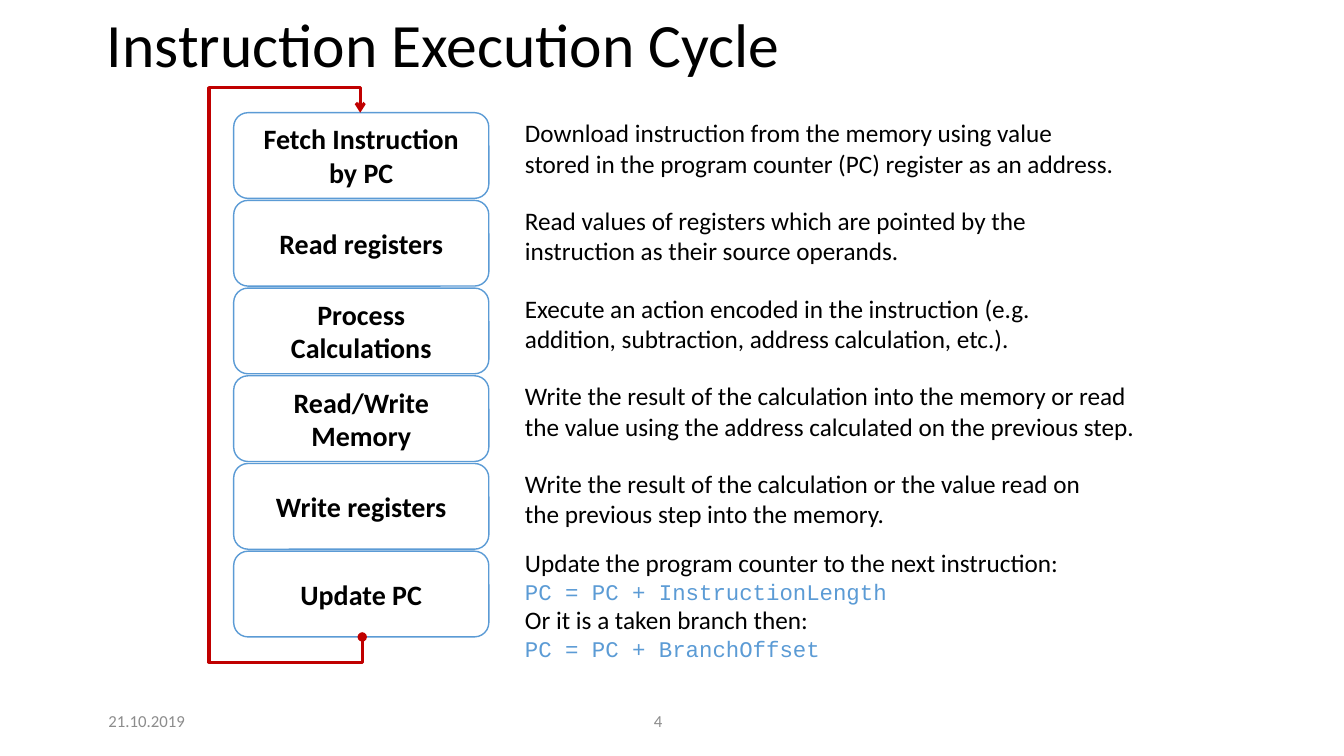
from lxml.etree import SubElement
from pptx import Presentation
from pptx.dml.color import RGBColor
from pptx.enum.shapes import MSO_CONNECTOR, MSO_SHAPE
from pptx.enum.text import MSO_ANCHOR, MSO_AUTO_SIZE, PP_ALIGN
from pptx.oxml.ns import qn
from pptx.util import Cm, Pt

BLACK = RGBColor(0x00, 0x00, 0x00)
WHITE = RGBColor(0xFF, 0xFF, 0xFF)
BLUE = RGBColor(0x5B, 0x9B, 0xD5)
RED = RGBColor(0xC0, 0x00, 0x00)
GREY = RGBColor(0x8C, 0x8C, 0x8C)

# Step grid, in cm
LEFT, TOP, WIDTH, HEIGHT, PITCH = 5.89, 2.84, 6.43, 2.16, 2.21
NOTE_LEFT = 12.98

# Text styles: size, font, colour, bold
TITLE = (44, "Calibri", BLACK, False)
STEP = (20, "Calibri", BLACK, True)
BODY = (18, "Calibri", BLACK, False)
CODE = (16, "Courier New", BLUE, False)
SMALL = (12, "Calibri", GREY, False)

# Step lines, width of the note, note
STEPS = [
    (["Fetch Instruction by PC"], 15.39,
     "Download instruction from the memory using value stored in the "
     "program counter (PC) register as an address."),
    (["Read registers"], 15.39,
     "Read values of registers which are pointed by the instruction as "
     "their source operands."),
    (["Process Calculations"], 15.39,
     "Execute an action encoded in the instruction (e.g. addition, "
     "subtraction, address calculation, etc.)."),
    (["Read/Write", "Memory"], 16.41,
     "Write the result of the calculation into the memory or read the "
     "value using the address calculated on the previous step."),
    (["Write registers"], 15.39,
     "Write the result of the calculation or the value read on the "
     "previous step into the memory."),
    (["Update PC"], 15.39, None),
]
UPDATE = [
    ("Update the program counter to the next instruction:", BODY),
    ("PC = PC + InstructionLength", CODE),
    ("Or it is a taken branch then:", BODY),
    ("PC = PC + BranchOffset", CODE),
]


def write(frame, lines, align=PP_ALIGN.LEFT, anchor=MSO_ANCHOR.TOP):
    """Fill a text frame with one paragraph per (text, style) pair."""
    frame.word_wrap = True
    frame.vertical_anchor = anchor
    for i, (text, style) in enumerate(lines):
        para = frame.add_paragraph() if i else frame.paragraphs[0]
        para.alignment = align
        run = para.add_run()
        run.text = text
        size, name, color, bold = style
        run.font.size = Pt(size)
        run.font.name = name
        run.font.color.rgb = color
        run.font.bold = bold


def add_title(slide, text):
    title = slide.shapes.title
    title.left, title.top = Cm(2.44), Cm(-0.08)
    title.width, title.height = Cm(29.21), Cm(2.57)
    frame = title.text_frame
    frame.auto_size = MSO_AUTO_SIZE.NONE
    write(frame, [(text, TITLE)], anchor=MSO_ANCHOR.MIDDLE)
    frame.paragraphs[0].line_spacing = 0.9


def add_step(slide, top, names):
    box = slide.shapes.add_shape(MSO_SHAPE.ROUNDED_RECTANGLE, Cm(LEFT),
                                 Cm(top), Cm(WIDTH), Cm(HEIGHT))
    box.shadow.inherit = False
    box.fill.solid()
    box.fill.fore_color.rgb = WHITE
    box.line.color.rgb = BLUE
    box.line.width = Pt(1)
    write(box.text_frame, [(name, STEP) for name in names],
          PP_ALIGN.CENTER, MSO_ANCHOR.MIDDLE)


def add_text(slide, left, top, width, height, lines, **place):
    box = slide.shapes.add_textbox(Cm(left), Cm(top), Cm(width), Cm(height))
    write(box.text_frame, lines, **place)


def add_loop(slide, top, bottom):
    """Five-part elbow from the last step, round the left, to the first."""
    span, shift = bottom - top, 0.05
    out, side = 0.63, 3.86
    mid_x, mid_y = LEFT + WIDTH / 2, (top + bottom) / 2
    left, upper = mid_x - span / 2, mid_y - shift / 2
    loop = slide.shapes.add_connector(
        MSO_CONNECTOR.ELBOW, Cm(left), Cm(upper),
        Cm(left + span), Cm(upper + shift))
    loop.line.color.rgb = RED
    loop.line.width = Pt(2.25)

    # Turn the elbow upright and set its bends
    props = loop._element.spPr
    frame = props.find(qn("a:xfrm"))
    frame.set("rot", "5400000")
    frame.set("flipH", "1")
    geom = props.find(qn("a:prstGeom"))
    geom.set("prst", "bentConnector5")
    bends = geom.find(qn("a:avLst"))
    ratios = (-out / span, side / shift, 1 + out / span)
    for i, ratio in enumerate(ratios, 1):
        SubElement(bends, qn("a:gd"), name=f"adj{i}",
                   fmla=f"val {round(ratio * 100000)}")

    # Line ends, no shadow
    line = props.find(qn("a:ln"))
    SubElement(line, qn("a:headEnd"), type="oval")
    SubElement(line, qn("a:tailEnd"), type="arrow")
    SubElement(props, qn("a:effectLst"))


def main():
    deck = Presentation()
    deck.slide_width, deck.slide_height = Cm(33.87), Cm(19.05)
    slide = deck.slides.add_slide(deck.slide_layouts[5])
    add_title(slide, "Instruction Execution Cycle")

    # Steps with their notes
    for i, (names, width, note) in enumerate(STEPS):
        top = TOP + i * PITCH
        add_step(slide, top, names)
        if note:
            add_text(slide, NOTE_LEFT, top, width, 1.8, [(note, BODY)])
        else:
            add_text(slide, NOTE_LEFT, top - 0.22, width, 3.25, UPDATE)

    # Return to the first step
    add_loop(slide, TOP, TOP + (len(STEPS) - 1) * PITCH + HEIGHT)

    # Footer
    add_text(slide, 2.34, 17.65, 2.72, 1.02, [("21.10.2019", SMALL)],
             align=PP_ALIGN.CENTER, anchor=MSO_ANCHOR.MIDDLE)
    add_text(slide, 16.23, 17.65, 2.01, 1.02, [("4", SMALL)],
             anchor=MSO_ANCHOR.MIDDLE)

    deck.save("out.pptx")


if __name__ == "__main__":
    main()
